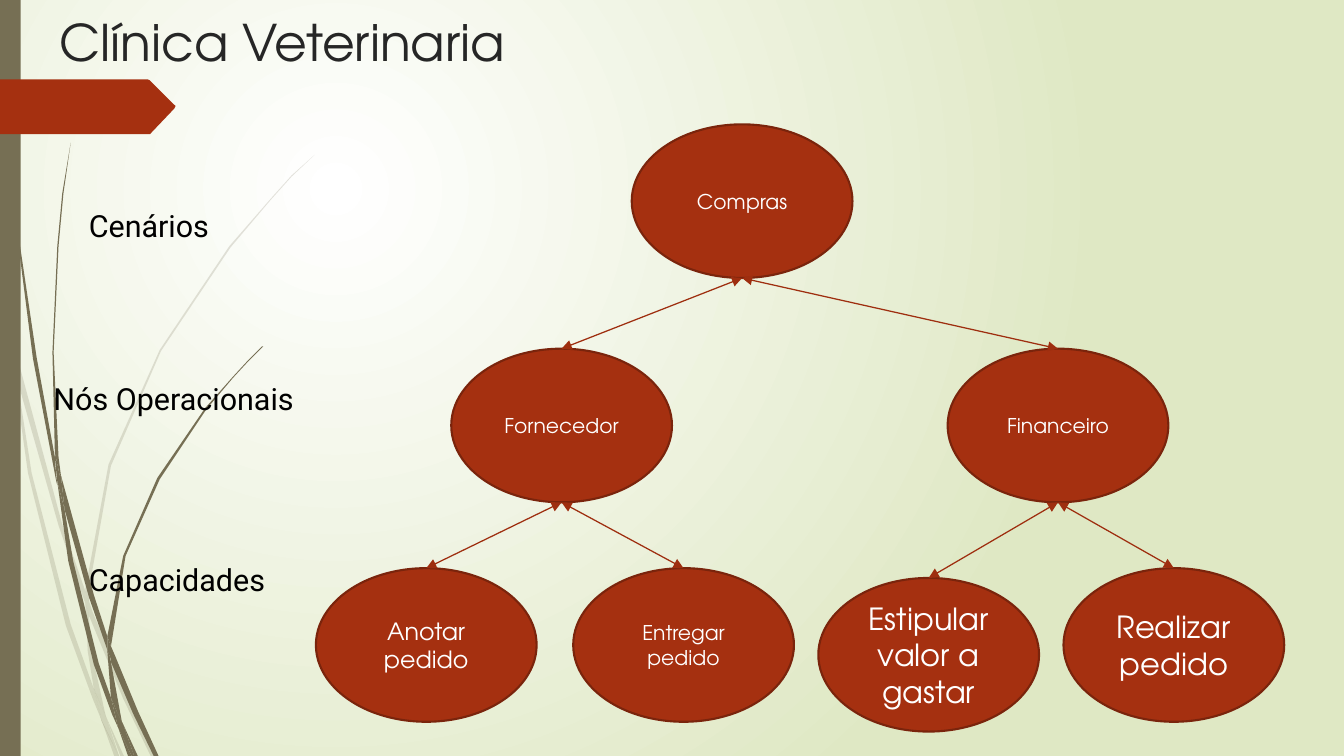
from lxml import etree
from pptx import Presentation
from pptx.dml.color import RGBColor
from pptx.enum.shapes import MSO_CONNECTOR, MSO_SHAPE
from pptx.enum.text import MSO_ANCHOR, PP_ALIGN
from pptx.oxml.ns import qn
from pptx.util import Inches, Pt

STRAIGHT = MSO_CONNECTOR.STRAIGHT
RECTANGLE, OVAL = MSO_SHAPE.RECTANGLE, MSO_SHAPE.OVAL
TOP, MIDDLE = MSO_ANCHOR.TOP, MSO_ANCHOR.MIDDLE
LEFT, CENTER = PP_ALIGN.LEFT, PP_ALIGN.CENTER

SLIDE_W, SLIDE_H = 11.02, 6.2
HEADING_FONT, LABEL_FONT = "TeX Gyre Adventor", "Roboto"
RED, RED_EDGE, RED_LINK, OLIVE = "A53010", "7A240C", "9E2E0F", "766F54"
BACKDROP = ["FFFFFF", "DFE8C4"]

TITLE = ("Clínica Veterinaria", 0.39, 0.04, 5.83, 0.79)
LEVELS = [
    ("Cenários", 0.63, 1.65, 1.73, 0.38),
    ("Nós Operacionais", 0.34, 3.07, 2.18, 0.38),
    ("Capacidades", 0.63, 4.55, 1.72, 0.38),
]
NODE_W, NODE_H = 1.81, 1.26
NODES = {
    "Compras": (5.18, 1.02, 12, None),
    "Fornecedor": (3.7, 2.86, 12, "Compras"),
    "Financeiro": (7.77, 2.86, 12, "Compras"),
    "Anotar pedido": (2.59, 4.66, 14, "Fornecedor"),
    "Entregar pedido": (4.7, 4.66, 12, "Fornecedor"),
    "Estipular valor a gastar": (6.71, 4.74, 18, "Financeiro"),
    "Realizar pedido": (8.72, 4.66, 18, "Financeiro"),
}

PALE_BLADES = [
    [(9, 289), (7, 266), (0, 233), (0, 247), (8, 284)],
    [(48, 431), (70, 495), (70, 485), (51, 430), (12, 285), (14, 311)],
    [(76, 502), (73, 493), (73, 505), (101, 573), (124, 621), (128, 621), (105, 572)],
    [(99, 621), (102, 621), (87, 588)],
    [(77, 565), (58, 512), (26, 388), (14, 311), (9, 289), (23, 388), (54, 513),
     (76, 573), (83, 590), (82, 585)],
    [(70, 495), (72, 534), (77, 565), (80, 572), (87, 588), (86, 584), (75, 534),
     (73, 505), (73, 503)],
    [(73, 483), (91, 382), (132, 288), (189, 203), (222, 164), (239, 145), (258, 127),
     (239, 144), (222, 163), (188, 202), (131, 287), (89, 381), (70, 483), (70, 485),
     (73, 493)],
    [(83, 590), (94, 621), (98, 621)],
    [(73, 503), (73, 505), (73, 493), (70, 485), (70, 495)],
    [(80, 572), (77, 565), (82, 585), (83, 591), (98, 621), (87, 588)],
]
DARK_BLADES = [
    [(5, 91), (14, 192), (27, 294), (46, 394), (47, 398), (45, 378), (45, 375),
     (30, 293), (15, 192), (6, 90), (4, 40), (3, 0), (2, 0), (3, 40)],
    [(73, 490), (88, 533), (88, 524), (88, 522), (77, 488), (50, 390), (53, 418)],
    [(94, 537), (91, 530), (91, 543), (109, 585), (126, 620), (130, 620), (113, 583)],
    [(91, 572), (81, 544), (60, 460), (53, 418), (47, 395), (56, 460), (77, 545),
     (92, 586), (97, 597), (96, 593)],
    [(50, 390), (48, 375), (44, 289), (48, 202), (52, 159), (58, 117), (51, 159),
     (47, 202), (43, 289), (45, 371), (49, 390)],
    [(110, 620), (113, 620), (101, 594)],
    [(47, 395), (53, 418), (50, 390), (49, 390), (45, 371), (45, 375)],
    [(92, 524), (103, 456), (131, 393), (169, 336), (191, 310), (203, 297), (216, 284),
     (215, 284), (203, 296), (191, 309), (168, 335), (129, 392), (101, 456), (88, 522),
     (91, 530)],
    [(97, 597), (105, 620), (108, 620)],
    [(88, 533), (91, 572), (96, 584), (101, 594), (100, 592), (91, 543), (90, 538)],
    [(88, 533), (90, 538), (92, 543), (91, 530), (88, 522), (88, 524)],
    [(96, 584), (91, 572), (96, 593), (97, 597), (108, 620), (110, 620), (101, 594)],
]
MARKER = [(143, 89), (123, 110), (121, 110), (0, 110), (0, 65), (121, 65), (123, 66),
          (143, 86), (144, 87)]


def rgb(value):
    return RGBColor.from_string(value)


def paint(shape, color, edge=None, alpha=None):
    shape.shadow.inherit = False
    shape.fill.solid()
    shape.fill.fore_color.rgb = rgb(color)
    if alpha:
        tint = shape.fill._xPr.find(".//" + qn("a:srgbClr"))
        etree.SubElement(tint, qn("a:alpha")).set("val", str(alpha * 1000))
    if edge:
        shape.line.color.rgb = rgb(edge)
        shape.line.width = Pt(1.25)
    else:
        shape.line.fill.background()


def write(shape, text, font, size, color, align, anchor, wrap):
    frame = shape.text_frame
    frame.word_wrap, frame.vertical_anchor = wrap, anchor
    paragraph = frame.paragraphs[0]
    paragraph.alignment = align
    run = paragraph.add_run()
    run.text = text
    for key, value in {"name": font, "size": Pt(size)}.items():
        setattr(run.font, key, value)
    run.font.color.rgb = rgb(color)


def outline(points, color, alpha=None):
    builder = shapes.build_freeform(*points[0], scale=Inches(0.01))
    builder.add_line_segments(points[1:], close=True)
    paint(builder.convert_to_shape(), color, alpha=alpha)


def link(child, parent):
    child_x, child_y = NODES[child][:2]
    parent_x, parent_y = NODES[parent][:2]
    ends = (child_x + NODE_W / 2, child_y, parent_x + NODE_W / 2, parent_y + NODE_H)
    arrow = shapes.add_connector(STRAIGHT, *map(Inches, ends))
    arrow.line.color.rgb = rgb(RED_LINK)
    arrow.line.width = Pt(0.75)
    stroke = arrow.line._get_or_add_ln()
    for tip in ("a:headEnd", "a:tailEnd"):
        etree.SubElement(stroke, qn(tip)).set("type", "triangle")
    etree.SubElement(arrow._element.spPr, qn("a:effectLst"))


deck = Presentation()
deck.slide_width, deck.slide_height = Inches(SLIDE_W), Inches(SLIDE_H)
slide = deck.slides.add_slide(deck.slide_layouts[6])
shapes = slide.shapes

backdrop = slide.background.fill
backdrop.gradient()
for stop, color, position in zip(backdrop.gradient_stops, BACKDROP, (0, 1)):
    stop.color.rgb = rgb(color)
    stop.position = position
gradient = slide._element.find(".//" + qn("a:gradFill"))
gradient.remove(gradient.find(qn("a:lin")))
circle = etree.SubElement(gradient, qn("a:path"))
circle.set("path", "circle")
focus = etree.SubElement(circle, qn("a:fillToRect"))
for side, share in {"l": 50, "t": 50, "r": 100, "b": 100}.items():
    focus.set(side, str(share * 1000))

for blade in PALE_BLADES:
    outline(blade, OLIVE, alpha=20)
for blade in DARK_BLADES:
    outline(blade, OLIVE)
side_bar = shapes.add_shape(RECTANGLE, 0, 0, Inches(0.17), Inches(SLIDE_H))
paint(side_bar, OLIVE)
outline(MARKER, RED)

title, *title_place = TITLE
write(shapes.add_textbox(*map(Inches, title_place)), title,
      HEADING_FONT, 29.8, "262626", LEFT, TOP, True)
for level, *place in LEVELS:
    write(shapes.add_textbox(*map(Inches, place)), level,
          LABEL_FONT, 18, "000000", LEFT, TOP, False)

for name, (x, y, size, parent) in NODES.items():
    node = shapes.add_shape(OVAL, *map(Inches, (x, y, NODE_W, NODE_H)))
    paint(node, RED, RED_EDGE)
    write(node, name, HEADING_FONT, size, "FFFFFF", CENTER, MIDDLE, True)
    if parent:
        link(name, parent)

deck.save("out.pptx")
